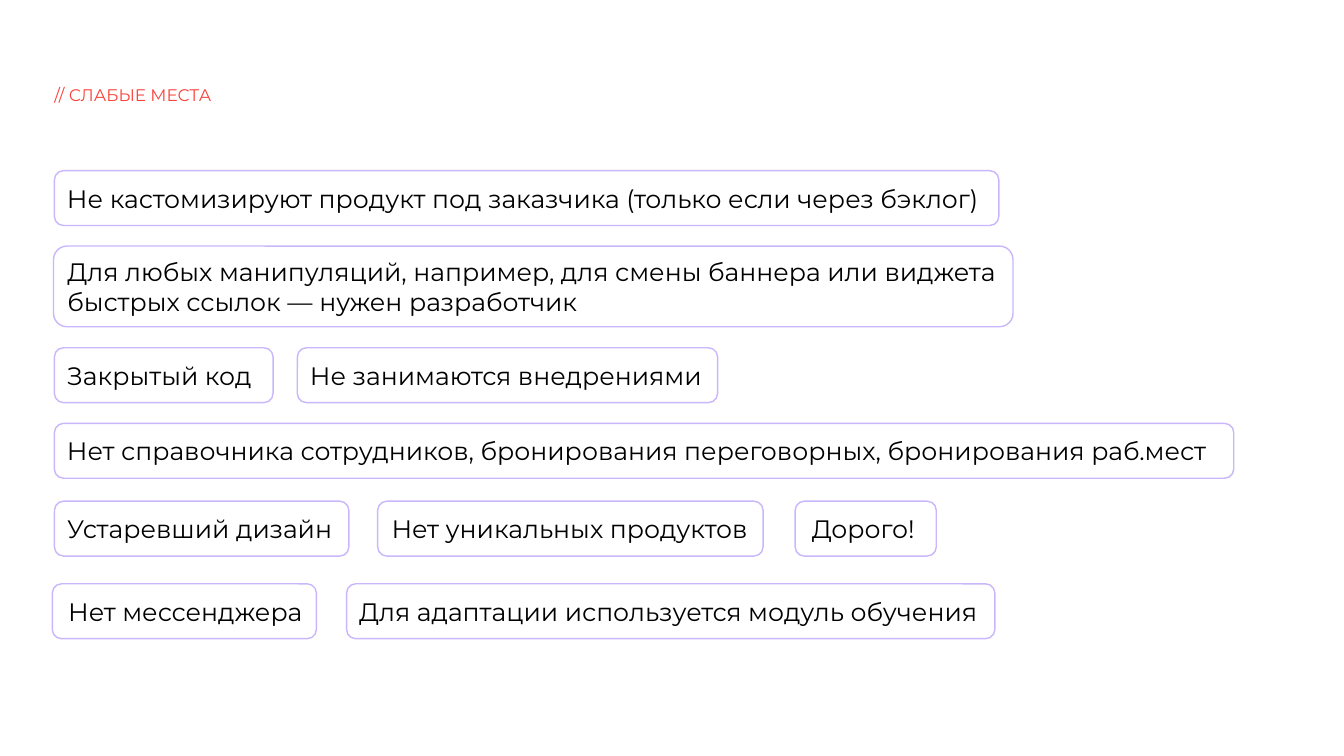
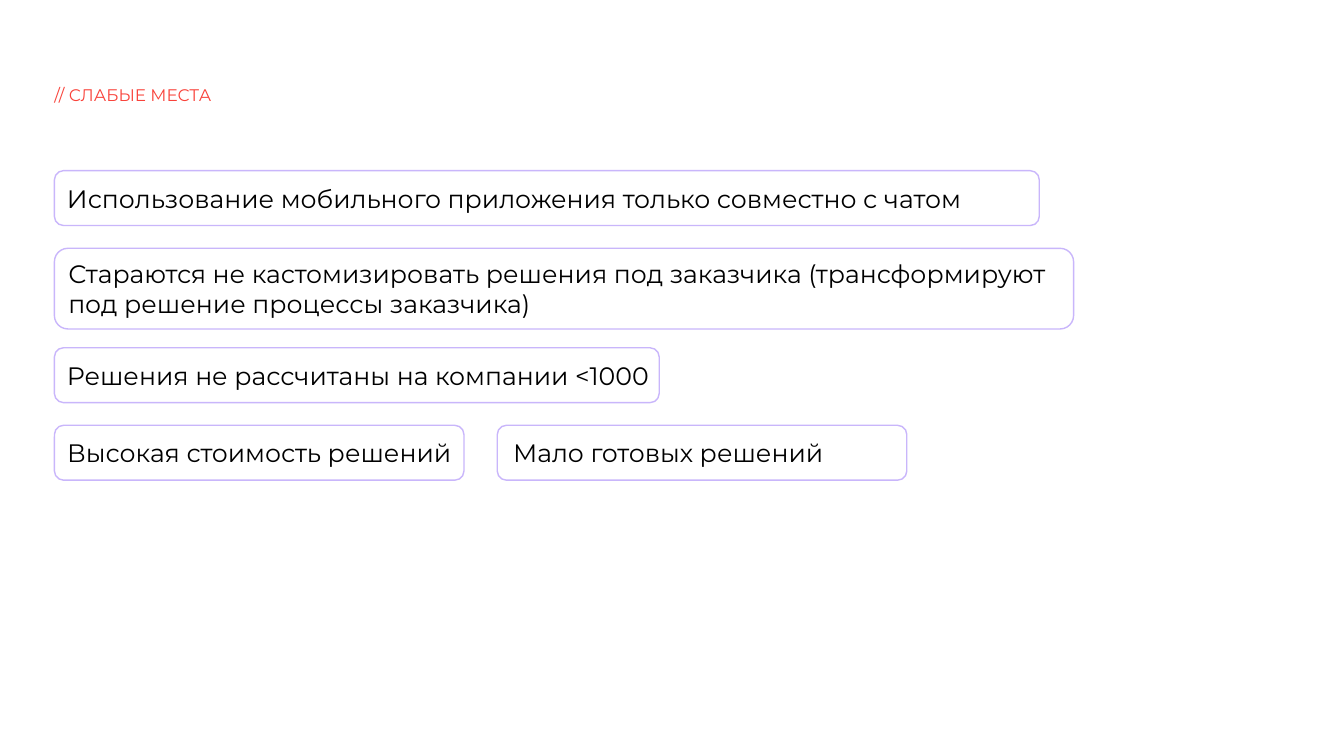
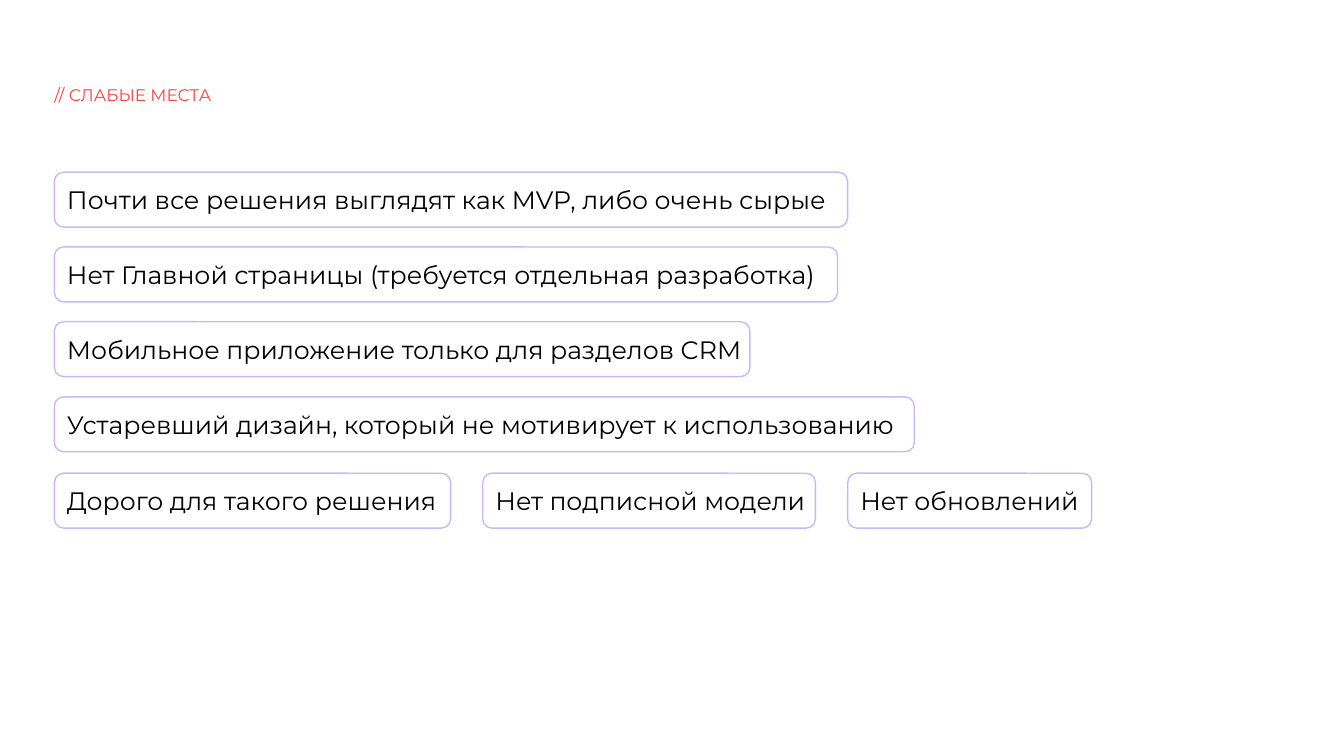
from pptx import Presentation
from pptx.dml.color import RGBColor
from pptx.enum import shapes, text
from pptx.util import Pt

# Shared look
RED = RGBColor(0xF9, 0x42, 0x3A)
LILAC = RGBColor(0xC9, 0xB6, 0xFB)
BLACK = RGBColor(0, 0, 0)
FONT = "Montserrat"
TITLE = "// СЛАБЫЕ МЕСТА"
LEFT = 38.9
INDENT = 7.2
LINE_HEIGHTS = {1: 39.2, 2: 57.6}

# Each slide is a list of rows: top, number of text lines, cards;
# each card is left, width, text indent, text
SLIDES = [
    [
        (121.9, 1, [(LEFT, 674.6, INDENT,
                     "Не кастомизируют продукт под заказчика (только если через бэклог)")]),
        (175.8, 2, [(38.2, 685.4, INDENT,
                     "Для любых манипуляций, например, для смены баннера "
                     "или виджета быстрых ссылок — нужен разработчик")]),
        (248.4, 1, [(LEFT, 156.2, INDENT, "Закрытый код"),
                    (212.4, 300.2, INDENT, "Не занимаются внедрениями")]),
        (302.4, 1, [(LEFT, 842.4, INDENT,
                     "Нет справочника сотрудников, бронирования переговорных, "
                     "бронирования раб.мест")]),
        (358, 1, [(LEFT, 210.3, INDENT, "Устаревший дизайн"),
                  (269.8, 275.3, 8, "Нет уникальных продуктов"),
                  (568, 100.8, 10, "Дорого!")]),
        (417, 1, [(37.4, 188.6, 9.4, "Нет мессенджера"),
                  (247.6, 463, INDENT, "Для адаптации используется модуль обучения")]),
    ],
    [
        (121.9, 1, [(LEFT, 703.5, INDENT,
                     "Использование мобильного приложения только совместно с чатом")]),
        (177.4, 2, [(LEFT, 728, INDENT,
                     "Стараются не кастомизировать решения под заказчика "
                     "(трансформируют под решение процессы заказчика)")]),
        (248.4, 1, [(LEFT, 432, INDENT, "Решения не рассчитаны на компании <1000")]),
        (303.8, 1, [(LEFT, 292.5, INDENT, "Высокая стоимость решений"),
                    (355.2, 292.5, 9.4, "Мало готовых решений")]),
    ],
    [
        (123, 1, [(LEFT, 566.6, INDENT,
                   "Почти все решения выглядят как MVP, либо очень сырые")]),
        (176.4, 1, [(LEFT, 559.4, INDENT,
                     "Нет Главной страницы (требуется отдельная разработка)")]),
        (229.8, 1, [(LEFT, 496.8, INDENT,
                     "Мобильное приложение только для разделов CRM")]),
        (283.5, 1, [(LEFT, 614.2, INDENT,
                     "Устаревший дизайн, который не мотивирует к использованию")]),
        (338, 1, [(LEFT, 283, INDENT, "Дорого для такого решения"),
                  (344.9, 237.6, INDENT, "Нет подписной модели"),
                  (605.5, 174.2, INDENT, "Нет обновлений")]),
    ],
]


def write(shape, content, size, color, frame_format):
    """Fill a shape with one left-aligned paragraph."""
    frame = shape.text_frame
    for name, value in frame_format.items():
        setattr(frame, name, value)
    frame.text = content
    paragraph = frame.paragraphs[0]
    paragraph.alignment = text.PP_ALIGN.LEFT
    font = paragraph.runs[0].font
    for name, value in {"name": FONT, "size": Pt(size), "bold": False}.items():
        setattr(font, name, value)
    font.color.rgb = color


FRAME = {"word_wrap": True, "auto_size": text.MSO_AUTO_SIZE.NONE,
         "margin_left": 0, "margin_right": 0, "margin_top": 0, "margin_bottom": 0}

presentation = Presentation()
presentation.slide_width = Pt(960)
presentation.slide_height = Pt(540)

# The title's place is set once on the layout
layout = presentation.slide_layouts.get_by_name("Title Only")
title_place = {"left": Pt(LEFT), "top": Pt(60.5), "width": Pt(342), "height": Pt(14.6)}
for name, value in title_place.items():
    setattr(layout.placeholders[0], name, value)

for rows in SLIDES:
    slide = presentation.slides.add_slide(layout)
    write(slide.shapes.title, TITLE, 12, RED,
          FRAME | {"vertical_anchor": text.MSO_ANCHOR.TOP})

    # Outlined cards
    for top, lines, cards in rows:
        for left, width, indent, content in cards:
            card = slide.shapes.add_shape(
                shapes.MSO_SHAPE.ROUNDED_RECTANGLE,
                Pt(left), Pt(top), Pt(width), Pt(LINE_HEIGHTS[lines]))
            card.shadow.inherit = False
            card.fill.background()
            card.line.color.rgb = LILAC
            card.line.width = Pt(1)
            write(card, content, 18, BLACK,
                  FRAME | {"margin_left": Pt(indent),
                           "vertical_anchor": text.MSO_ANCHOR.MIDDLE})

presentation.save("out.pptx")
